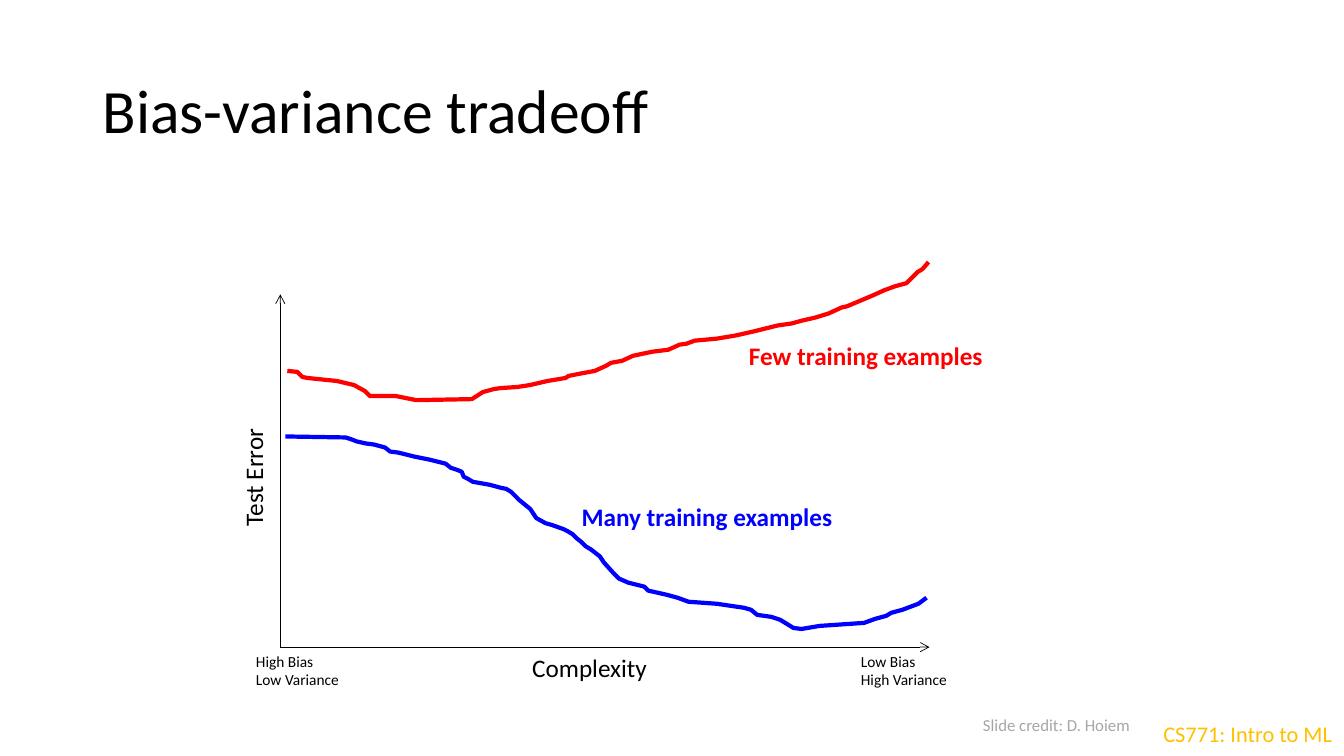
import pptx
import pptx.util
import pptx.dml.color
import pptx.enum.shapes
import pptx.enum.text
import pptx.oxml.ns
import lxml.etree

COLORS = {"ink": "000000", "few": "FF0000", "many": "0000FF",
          "credit": "A6A6A6", "course": "FFC000"}
FONT = "Calibri"

prs = pptx.Presentation()
prs.slide_width = pptx.util.Inches(13.33)
prs.slide_height = pptx.util.Inches(7.5)
COL = prs.slide_width / 133.3
ROW = prs.slide_height / 75

# Curve points as (columns right of, rows above) the axis origin
MANY = [(0.5, 20.9), (6.5, 20.8), (7.1, 20.6), (7.6, 20.4), (8.5, 20.2),
        (9.3, 20.1), (10.4, 19.8), (10.9, 19.4), (11.7, 19.3), (13.3, 18.9),
        (14.8, 18.6), (16.4, 18.2), (16.9, 17.8), (17.5, 17.6), (18, 17.4),
        (18.2, 16.9), (18.6, 16.7), (19.1, 16.4), (20.8, 16.1), (21.9, 15.8),
        (22.4, 15.7), (22.9, 15.4), (23.7, 14.6), (24.8, 13.7), (25.4, 12.8),
        (26.3, 12.3), (27, 12.1), (28.1, 11.7), (28.5, 11.5), (29, 11.2),
        (29.4, 10.8), (29.9, 10.4), (30.3, 10), (30.8, 9.7), (31.7, 9),
        (32.1, 8.4), (33, 7.4), (33.6, 6.8), (34.5, 6.4), (36.1, 6),
        (36.5, 5.6), (38.3, 5.2), (39.4, 4.9), (40.5, 4.5), (43.3, 4.3),
        (46, 3.9), (46.7, 3.7), (47.3, 3.2), (48.7, 3), (49.6, 2.7),
        (50.9, 1.9), (51.7, 1.8), (53.5, 2.1), (57.9, 2.4), (59, 2.8),
        (60.1, 3.1), (60.6, 3.4), (61.7, 3.7), (63.3, 4.3), (64.1, 4.9)]
FEW = [(0.7, 27.4), (1.7, 27.3), (2.2, 26.8), (2.7, 26.7), (5.6, 26.4),
       (7.3, 26), (8.4, 25.4), (8.9, 24.9), (11.5, 24.9), (13.5, 24.5),
       (19, 24.6), (20.1, 25.3), (21.2, 25.6), (21.9, 25.7), (23.5, 25.8),
       (24.8, 26), (26.5, 26.4), (28.3, 26.7), (28.6, 26.9), (29.6, 27.1),
       (31.2, 27.4), (32.3, 27.9), (32.8, 28.2), (33.9, 28.4), (35, 28.9),
       (36.9, 29.3), (38.5, 29.5), (39.6, 30), (40.3, 30.1), (41.1, 30.4),
       (43.3, 30.6), (45.1, 30.9), (46.9, 31.3), (49.3, 31.9), (50.7, 32.1),
       (51.8, 32.4), (53.1, 32.7), (54.4, 33.1), (55.7, 33.7), (56.2, 33.8),
       (58.8, 34.9), (59.9, 35.4), (61, 35.8), (62.1, 36.1), (62.4, 36.4),
       (63.2, 37.2), (63.7, 37.5), (64.3, 38.2)]


def rgb(name):
    return pptx.dml.color.RGBColor.from_string(COLORS[name])


def add_text(s, box, text, size=18, color="ink", bold=False, rotation=0,
             wrap=False, middle=False, spacing=None):
    """Place text in a box of (column, row, columns, rows)."""
    x, y, w, h = box
    sp = s.shapes.add_textbox(round(x * COL), round(y * ROW),
                              round(w * COL), round(h * ROW))
    sp.rotation = rotation
    tf = sp.text_frame
    tf.word_wrap = wrap
    if middle:
        tf.vertical_anchor = pptx.enum.text.MSO_ANCHOR.MIDDLE
    for i, line in enumerate(text.split("\n")):
        p = tf.add_paragraph() if i else tf.paragraphs[0]
        p.line_spacing = spacing
        r = p.add_run()
        r.text = line
        r.font.name = FONT
        r.font.size = pptx.util.Pt(size)
        r.font.bold = bold
        r.font.color.rgb = rgb(color)


def add_axis(s, start, end):
    ln = s.shapes.add_connector(
        pptx.enum.shapes.MSO_CONNECTOR.STRAIGHT,
        round(start[0] * COL), round(start[1] * ROW),
        round(end[0] * COL), round(end[1] * ROW))
    ln.line.color.rgb = rgb("ink")
    ln.line.width = pptx.util.Pt(0.5)
    qn = pptx.oxml.ns.qn
    lxml.etree.SubElement(ln.line._get_or_add_ln(), qn("a:tailEnd"), type="arrow")
    lxml.etree.SubElement(ln._element.spPr, qn("a:effectLst"))


def add_curve(s, origin, points, color):
    pts = [(round((origin[0] + x) * COL), round((origin[1] - y) * ROW))
           for x, y in points]
    fb = s.shapes.build_freeform(*pts[0])
    fb.add_line_segments(pts[1:], close=False)
    sp = fb.convert_to_shape()
    sp.shadow.inherit = False
    sp.fill.background()
    sp.line.color.rgb = rgb(color)
    sp.line.width = pptx.util.Pt(3)


def add_header(s, box):
    add_text(s, box, "Bias-variance tradeoff", size=44, wrap=True,
             middle=True, spacing=0.9)


def add_plot(s, box):
    x, y, w, h = box
    base = y + h
    # Curves and their labels
    add_curve(s, (x, base), MANY, "many")
    add_curve(s, (x, base), FEW, "few")
    add_text(s, (x + 28.9, base - 15, 27.1, 4), "Many training examples",
             color="many", bold=True)
    add_text(s, (x + 45.5, base - 30.9, 25.4, 4), "Few training examples",
             color="few", bold=True)
    # Axes and their labels
    add_axis(s, (x, base), (x, y))
    add_axis(s, (x, base), (x + w, base))
    add_text(s, (x + 24, base, 13.5, 4), "Complexity")
    add_text(s, (x - 8.6, base - 18.9, 11.8, 4), "Test Error", rotation=270)
    add_text(s, (x - 3.4, base, 10.4, 4.7), "High Bias\nLow Variance", size=11)
    add_text(s, (x + 56.6, base, 10.7, 4.7), "Low Bias\nHigh Variance", size=11)


def add_footer(s, box):
    x, y, w, h = box
    add_text(s, (x, y, 16.8, 3), "Slide credit: D. Hoiem", size=12, color="credit")
    add_text(s, (x + w - 19, y + h - 3.7, 19, 3.7), "CS771: Intro to ML",
             size=16, color="course")


s = prs.slides.add_slide(prs.slide_layouts[6])
add_header(s, (9.2, 4, 115, 14.5))
add_plot(s, (27.8, 29.2, 64.4, 35))
add_footer(s, (96.5, 70.4, 36.9, 4.3))
prs.save("out.pptx")
